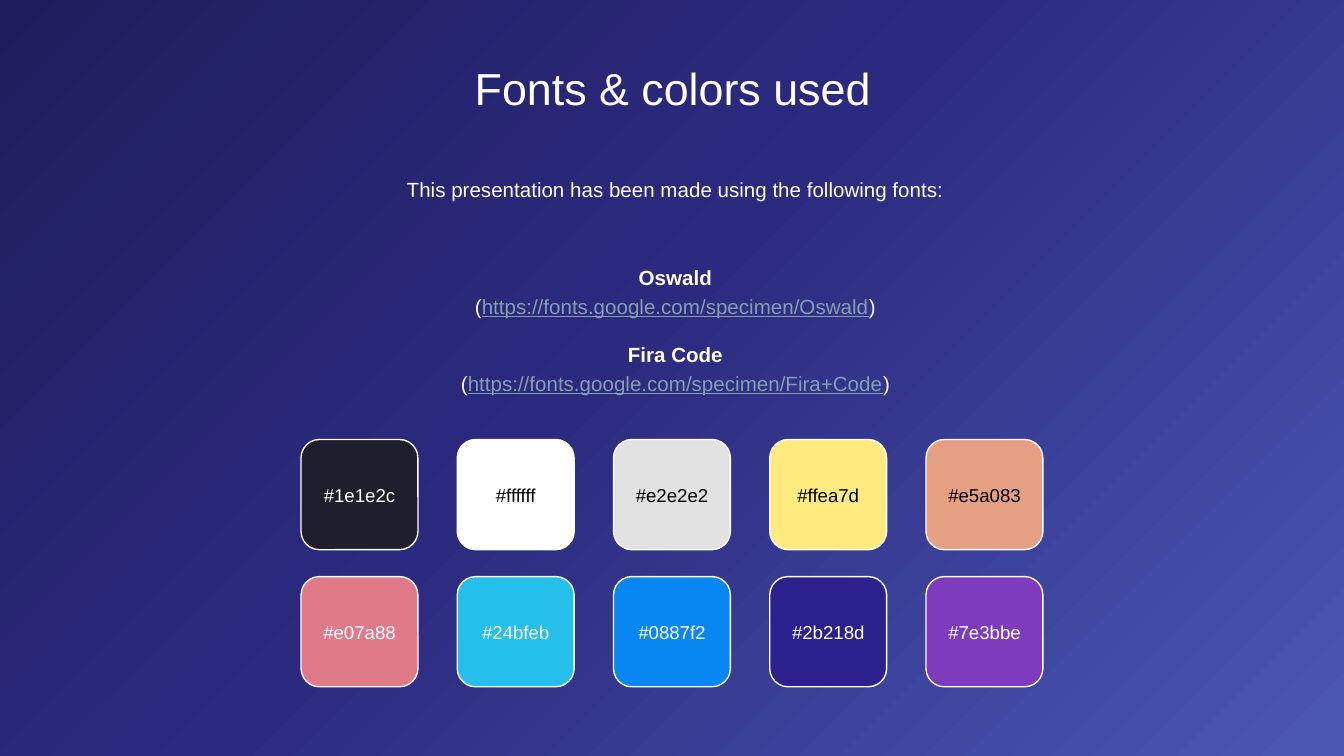
from dataclasses import dataclass

from pptx import Presentation
from pptx import util as u
from pptx.dml.color import RGBColor
from pptx.enum import shapes, text
from pptx.oxml import parse_xml
from pptx.oxml.ns import nsdecls, qn


@dataclass(frozen=True)
class Theme:
    font: str = "Arial"
    light: str = "FFFFFF"
    dark: str = "000000"
    link: str = "869FB2"
    title: float = 24
    body: float = 11
    label: float = 10
    background: tuple = ((0, "1E1E5C"), (46, "2C2A7F"), (100, "4A58B4"))


theme = Theme()


def setup_frame(tf, anchor):
    tf.word_wrap = True
    tf.auto_size = text.MSO_AUTO_SIZE.NONE
    tf.vertical_anchor = anchor
    tf.margin_left = tf.margin_right = u.Inches(0.1)
    tf.margin_top = tf.margin_bottom = u.Inches(0.1)
    tf.paragraphs[0].alignment = text.PP_ALIGN.CENTER


def add_run(p, words, size, color=theme.light, bold=False, underline=False):
    r = p.add_run()
    r.text = words
    r.font.name = theme.font
    r.font.size = u.Pt(size)
    r.font.bold = bold
    r.font.underline = underline
    r.font.color.rgb = RGBColor.from_string(color)


# Widescreen 16:9 slide
prs = Presentation()
prs.slide_width = u.Inches(10)
prs.slide_height = u.Inches(10 * 9 / 16)
s = prs.slides.add_slide(prs.slide_layouts[5])

# Background gradient, spreading from the top left corner
s.background.fill.gradient()
grad = s.element.find(".//" + qn("a:gradFill"))
stops = "".join(
    f'<a:gs pos="{pos * 1000}"><a:srgbClr val="{color}"/></a:gs>'
    for pos, color in theme.background
)
grad.getparent().replace(grad, parse_xml(
    f'<a:gradFill {nsdecls("a")} rotWithShape="1"><a:gsLst>{stops}</a:gsLst>'
    '<a:path path="circle"><a:fillToRect r="100000" b="100000"/></a:path>'
    '</a:gradFill>'
))

# Title
sp = s.shapes.title
sp.left, sp.top = u.Inches(1.15), u.Inches(0.35)
sp.width, sp.height = u.Inches(7.71), u.Inches(0.53)
setup_frame(sp.text_frame, text.MSO_ANCHOR.TOP)
add_run(sp.text_frame.paragraphs[0], "Fonts & colors used", theme.title)

# Introduction
sp = s.shapes.add_textbox(u.Inches(1.17), u.Inches(1.19), u.Inches(7.71), u.Inches(0.48))
setup_frame(sp.text_frame, text.MSO_ANCHOR.TOP)
p = sp.text_frame.paragraphs[0]
p.line_spacing = 1.15
add_run(p, "This presentation has been made using the following fonts:", theme.body)

# Font names with their addresses
fonts = [
    ("Oswald", "https://fonts.google.com/specimen/Oswald"),
    ("Fira Code", "https://fonts.google.com/specimen/Fira+Code"),
]
sp = s.shapes.add_textbox(u.Inches(1.17), u.Inches(1.76), u.Inches(7.71), u.Inches(1.37))
tf = sp.text_frame
setup_frame(tf, text.MSO_ANCHOR.MIDDLE)
for i, (name, address) in enumerate(fonts):
    p = tf.add_paragraph() if i else tf.paragraphs[0]
    if i:
        p.space_before = u.Pt(11)
    add_run(p, name, theme.body, bold=True)
    p = tf.add_paragraph()
    add_run(p, "(", theme.body)
    add_run(p, address, theme.body, theme.link, underline=True)
    add_run(p, ")", theme.body)
for p in tf.paragraphs:
    p.alignment = text.PP_ALIGN.CENTER
    p.line_spacing = 1.15

# Color swatches with their codes, in evenly spaced columns
swatches = [
    ["1e1e2c", "ffffff", "e2e2e2", "ffea7d", "e5a083"],
    ["e07a88", "24bfeb", "0887f2", "2b218d", "7e3bbe"],
]
dark_labels = {"ffffff", "e2e2e2", "ffea7d", "e5a083"}
first_left, last_left = 2.24, 6.89
pitch = (last_left - first_left) / 4
for row, codes in enumerate(swatches):
    for col, code in enumerate(codes):
        left, top = first_left + pitch * col, 3.27 + 1.02 * row
        sp = s.shapes.add_shape(
            shapes.MSO_SHAPE.ROUNDED_RECTANGLE,
            u.Inches(left), u.Inches(top), u.Inches(0.87), u.Inches(0.82),
        )
        sp.shadow.inherit = False
        sp.fill.solid()
        sp.fill.fore_color.rgb = RGBColor.from_string(code.upper())
        sp.line.color.rgb = RGBColor.from_string(theme.light)
        sp.line.width = u.Pt(0.75)

        sp = s.shapes.add_textbox(
            u.Inches(left), u.Inches(top + 0.17), u.Inches(0.87), u.Inches(0.48)
        )
        setup_frame(sp.text_frame, text.MSO_ANCHOR.MIDDLE)
        color = theme.dark if code in dark_labels else theme.light
        add_run(sp.text_frame.paragraphs[0], f"#{code}", theme.label, color)

prs.save("out.pptx")
